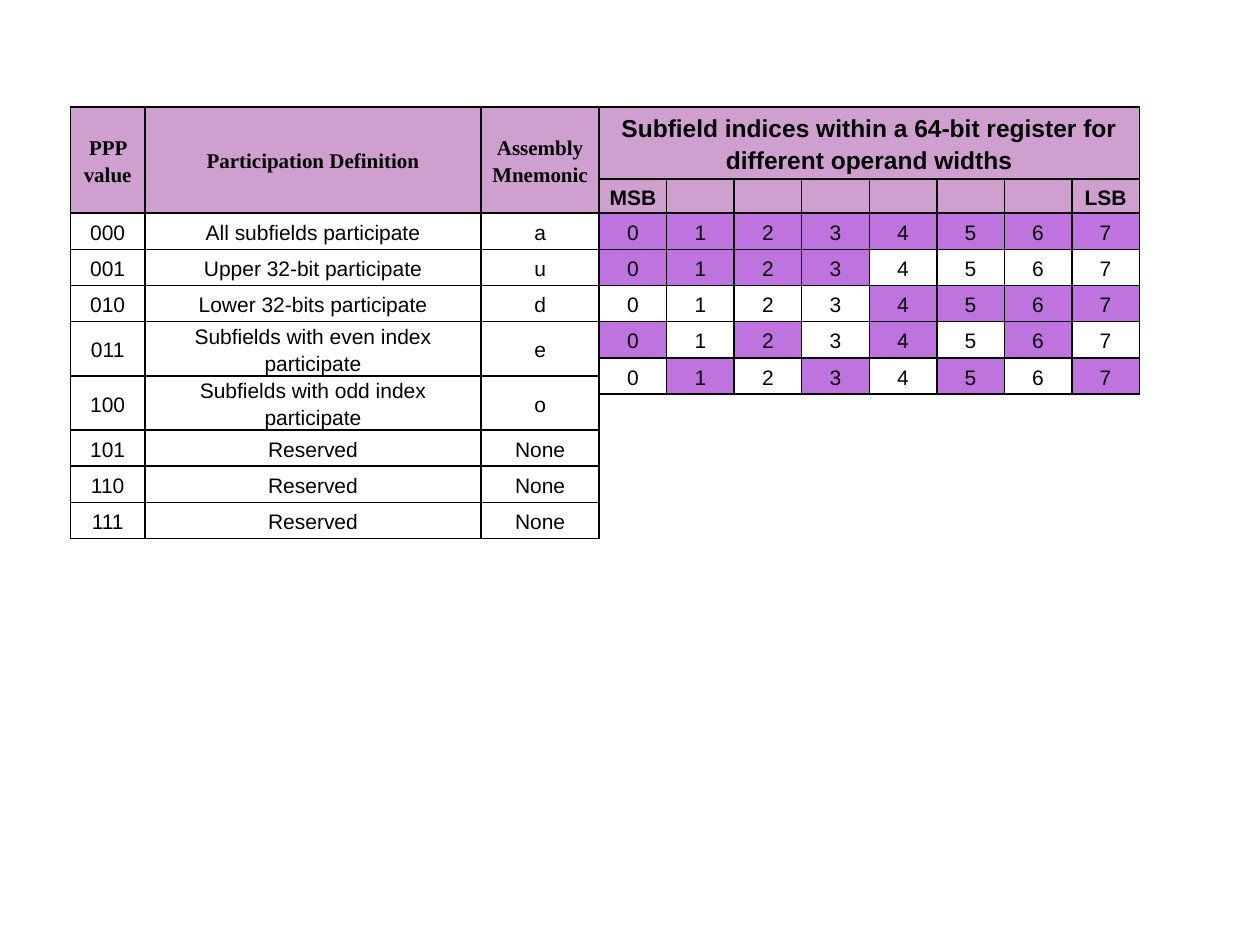
from dataclasses import dataclass

from lxml import etree
from pptx import Presentation
from pptx.dml.color import RGBColor
from pptx.enum import text as t
from pptx.oxml import ns
from pptx.util import Pt


@dataclass(frozen=True)
class Theme:
    ink: str = "000000"
    head: str = "CFA0CF"
    mark: str = "BF73DF"
    sans: str = "Arial"
    serif: str = "Times New Roman"
    body: int = 12
    large: int = 14
    rule: int = 1
    pad: int = 5
    lead: float = 1.15


THEME = Theme()
TOP = 61.2
ROW = 20.7

NAMES = ["PPP value", "Participation Definition", "Assembly Mnemonic"]
MODES = [
    ("All subfields participate", "a"),
    ("Upper 32-bit participate", "u"),
    ("Lower 32-bits participate", "d"),
    ("Subfields with even index participate", "e"),
    ("Subfields with odd index participate", "o"),
] + [("Reserved", "None")] * 3

COUNT = 8
TITLE = "Subfield indices within a 64-bit register for different operand widths"
# Subfields taking part, in the order of MODES
ACTIVE = [range(8), range(4), range(4, 8), range(0, 8, 2), range(1, 8, 2)]


def add_grid(slide, left, cols, rows):
    frame = slide.shapes.add_table(
        len(rows), len(cols), Pt(left), Pt(TOP), Pt(sum(cols)), Pt(sum(rows)))
    grid = frame.table
    grid.first_row = grid.horz_banding = False
    for col, width in zip(grid.columns, cols):
        col.width = Pt(width)
    for row, height in zip(grid.rows, rows):
        row.height = Pt(height)
    return grid


def add_rules(cell):
    """Draw a thin line on all four sides of the cell."""
    props = cell._tc.get_or_add_tcPr()
    for side in ("lnL", "lnR", "lnT", "lnB"):
        line = etree.SubElement(
            props, ns.qn(f"a:{side}"), w=str(Pt(THEME.rule)))
        fill = etree.SubElement(line, ns.qn("a:solidFill"))
        etree.SubElement(fill, ns.qn("a:srgbClr"), val=THEME.ink)


def set_cell(cell, words="", fill=None, bold=False, font=THEME.sans,
             size=THEME.body):
    add_rules(cell)
    if fill:
        cell.fill.solid()
        cell.fill.fore_color.rgb = RGBColor.from_string(fill)
    else:
        cell.fill.background()
    cell.margin_left = cell.margin_right = Pt(THEME.pad)
    cell.margin_top = cell.margin_bottom = 0
    cell.vertical_anchor = t.MSO_ANCHOR.MIDDLE
    para = cell.text_frame.paragraphs[0]
    para.text = words
    para.alignment = t.PP_ALIGN.CENTER
    para.line_spacing = THEME.lead
    for run in para.runs:
        run.font.name = font
        run.font.size = Pt(size)
        run.font.bold = bold
        run.font.color.rgb = RGBColor.from_string(THEME.ink)
    if not words:
        # An empty cell needs its own type size, or its row grows
        etree.SubElement(para._p, ns.qn("a:endParaRPr"), sz=str(size * 100))


def add_modes(slide):
    grid = add_grid(slide, 40.2, [42.7, 192, 67.5], [60.6] + [ROW] * len(MODES))
    for col, name in enumerate(NAMES):
        set_cell(grid.cell(0, col), name, THEME.head, True, THEME.serif)
    for code, mode in enumerate(MODES):
        for col, words in enumerate((f"{code:03b}", *mode)):
            set_cell(grid.cell(code + 1, col), words)


def add_fields(slide):
    grid = add_grid(slide, 342.4, [38.6] * COUNT,
                    [41.1, 19.5] + [ROW] * len(ACTIVE))
    ends = {0: "MSB", COUNT - 1: "LSB"}
    for col in range(COUNT):
        set_cell(grid.cell(0, col), "" if col else TITLE, THEME.head, True,
                 size=THEME.large)
        set_cell(grid.cell(1, col), ends.get(col, ""), THEME.head, True)
        for row, active in enumerate(ACTIVE, 2):
            set_cell(grid.cell(row, col), str(col),
                     THEME.mark if col in active else None)
    grid.cell(0, 0).merge(grid.cell(0, COUNT - 1))


def main():
    deck = Presentation()
    deck.slide_width, deck.slide_height = Pt(720), Pt(540)
    slide = deck.slides.add_slide(deck.slide_layouts[6])
    add_modes(slide)
    add_fields(slide)
    deck.save("out.pptx")


if __name__ == "__main__":
    main()
